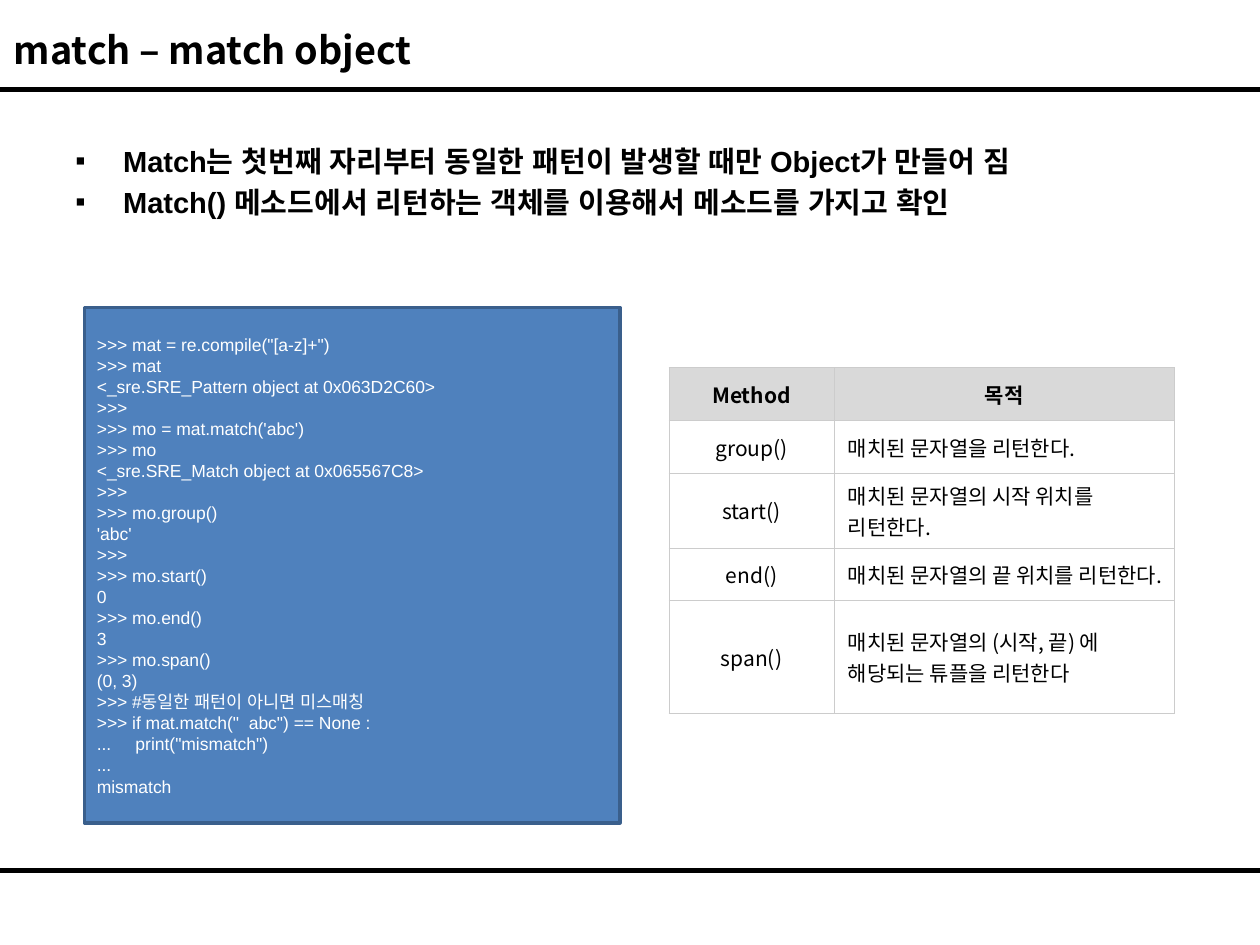
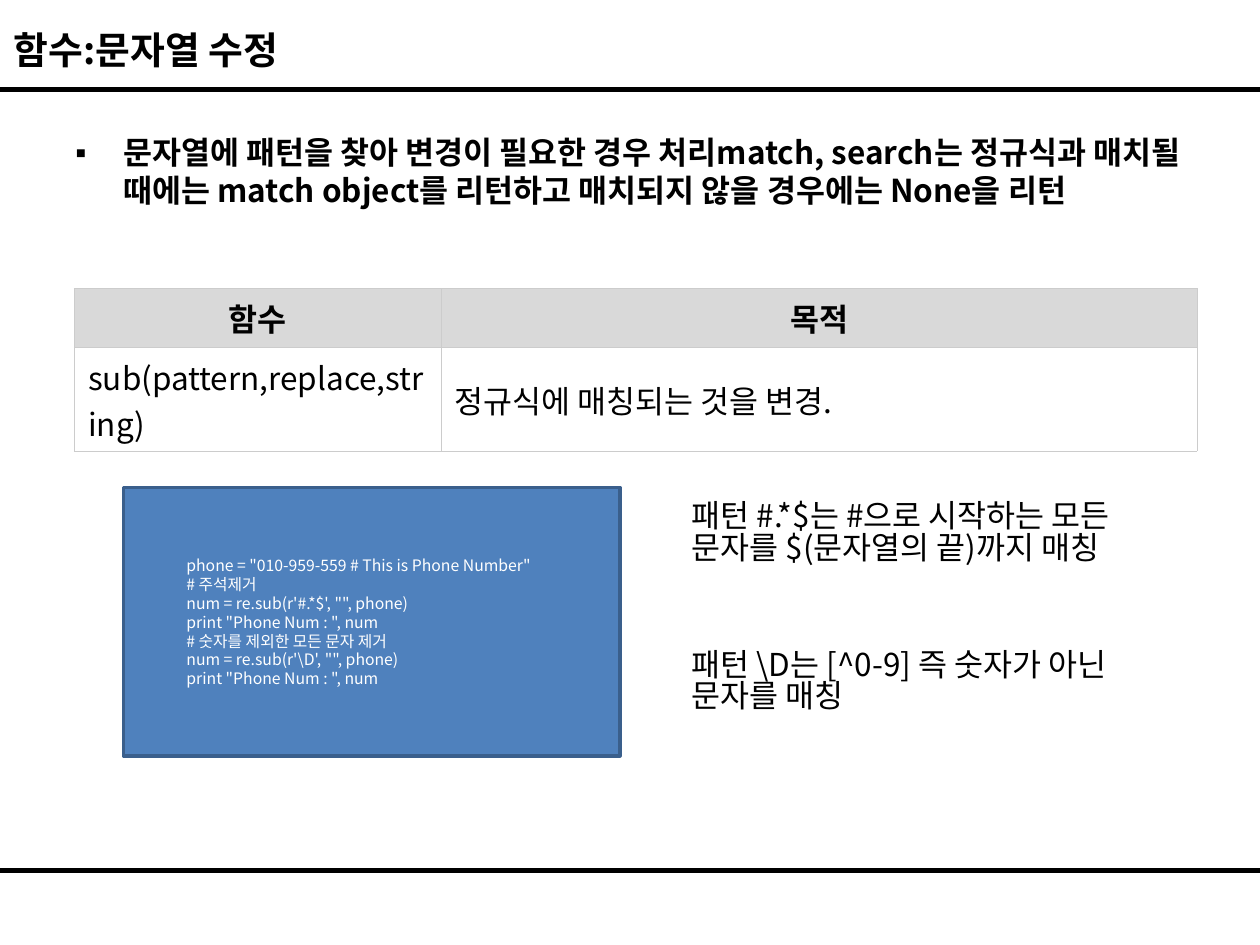
"""Build two slides on regular expression matching and substitution."""
from dataclasses import dataclass
from typing import Optional, Sequence

from lxml.etree import SubElement
from pptx import Presentation
from pptx.dml.color import RGBColor
from pptx.enum.shapes import MSO_CONNECTOR as CONN, MSO_SHAPE as SHAPE
from pptx.enum.text import MSO_ANCHOR as ANCHOR, MSO_AUTO_SIZE as AUTO, PP_ALIGN as ALIGN
from pptx.oxml.ns import qn
from pptx.util import Emu, Inches, Pt

COLS, ROWS = 100, 75
WIDTH, HEIGHT = Inches(10), Inches(7.5)
BLACK, WHITE, GREY, RULE = "000000", "FFFFFF", "D9D9D9", "CCCCCC"
BLUE, NAVY = "4F81BD", "3A5F8C"
ARIAL, NOTO = "Arial", "Noto Sans CJK KR"


@dataclass(frozen=True)
class Box:
    left: float
    top: float
    width: float
    height: float

    def emu(self) -> tuple:
        return col(self.left), row(self.top), col(self.width), row(self.height)


@dataclass(frozen=True)
class Style:
    size: float
    font: str = NOTO
    color: str = BLACK
    bold: bool = False
    spacing: Optional[float] = None
    before: float = 0
    indent: float = 0
    bullet: str = ""


@dataclass(frozen=True)
class Grid:
    left: float
    top: float
    widths: Sequence[float]
    heights: Sequence[float]
    size: float
    centred_cols: int
    rows: Sequence[Sequence[str]]


def col(n: float) -> Emu:
    return Emu(round(WIDTH * n / COLS))


def row(n: float) -> Emu:
    return Emu(round(HEIGHT * n / ROWS))


def rgb(value: str) -> RGBColor:
    return RGBColor.from_string(value)


def paint(fill, color: str) -> None:
    fill.solid()
    fill.fore_color.rgb = rgb(color)


def write(tf, lines: Sequence[str], style: Style, align=ALIGN.LEFT) -> None:
    for i, line in enumerate(lines):
        p = tf.paragraphs[0] if i == 0 else tf.add_paragraph()
        p.alignment = align
        if style.spacing:
            p.line_spacing = style.spacing
        if i and style.before:
            p.space_before = Pt(style.before)
        pPr = p._p.get_or_add_pPr()
        if style.indent:
            pPr.set("marL", str(col(style.indent)))
        if style.bullet:
            pPr.set("indent", str(-col(style.indent)))
            SubElement(pPr, qn("a:buFont"), typeface=ARIAL)
            SubElement(pPr, qn("a:buChar"), char=style.bullet)
        r = p.add_run()
        r.text = line
        r.font.name, r.font.size, r.font.bold = style.font, Pt(style.size), style.bold
        r.font.color.rgb = rgb(style.color)
        SubElement(r._r.get_or_add_rPr(), qn("a:ea"), typeface=style.font)


def add_rule(s, y: float) -> None:
    ln = s.shapes.add_connector(CONN.STRAIGHT, col(0), row(y), col(COLS), row(y))
    ln.line.color.rgb = rgb(BLACK)
    ln.line.width = Pt(2.75)
    SubElement(ln._element.spPr, qn("a:effectLst"))


def add_page(prs, title: str):
    s = prs.slides.add_slide(prs.slide_layouts[5])
    for y in (7.1, 69.1):
        add_rule(s, y)
    sp = s.shapes.title
    sp.left, sp.top, sp.width, sp.height = Box(0.1, 1.6, 98.8, 4.6).emu()
    tf = sp.text_frame
    tf.auto_size, tf.vertical_anchor = AUTO.NONE, ANCHOR.MIDDLE
    write(tf, [title], Style(21.6, bold=True))
    return s


def add_text(s, box: Box, lines: Sequence[str], style: Style) -> None:
    tf = s.shapes.add_textbox(*box.emu()).text_frame
    tf.word_wrap = True
    write(tf, lines, style)


def add_code(s, box: Box, code: str, style: Style, inset: float) -> None:
    sp = s.shapes.add_shape(SHAPE.RECTANGLE, *box.emu())
    sp.shadow.inherit = False
    paint(sp.fill, BLUE)
    sp.line.color.rgb = rgb(NAVY)
    sp.line.width = Pt(2)
    tf = sp.text_frame
    tf.word_wrap, tf.vertical_anchor = True, ANCHOR.MIDDLE
    tf.margin_left = col(inset)
    write(tf, code.splitlines(), style)


def border(cell) -> None:
    tcPr = cell._tc.get_or_add_tcPr()
    for i, side in enumerate(("lnL", "lnR", "lnT", "lnB")):
        ln = tcPr.makeelement(qn(f"a:{side}"), {"w": str(Pt(0.6))})
        SubElement(SubElement(ln, qn("a:solidFill")), qn("a:srgbClr"), val=RULE)
        tcPr.insert(i, ln)


def add_grid(s, g: Grid) -> None:
    box = Box(g.left, g.top, sum(g.widths), sum(g.heights))
    table = s.shapes.add_table(len(g.heights), len(g.widths), *box.emu()).table
    for column, width in zip(table.columns, g.widths):
        column.width = col(width)
    for i, (line, height, texts) in enumerate(zip(table.rows, g.heights, g.rows)):
        line.height = row(height)
        for j, (cell, text) in enumerate(zip(line.cells, texts)):
            header = i == 0
            paint(cell.fill, GREY if header else WHITE)
            border(cell)
            cell.vertical_anchor = ANCHOR.MIDDLE
            cell.margin_left = cell.margin_right = col(1.1)
            cell.margin_top = cell.margin_bottom = row(0.5)
            centred = header or j < g.centred_cols
            write(cell.text_frame, [text], Style(g.size, bold=header),
                  ALIGN.CENTER if centred else ALIGN.LEFT)


MATCH_CODE = """\
>>> mat = re.compile("[a-z]+")
>>> mat
<_sre.SRE_Pattern object at 0x063D2C60>
>>>
>>> mo = mat.match('abc')
>>> mo
<_sre.SRE_Match object at 0x065567C8>
>>>
>>> mo.group()
'abc'
>>>
>>> mo.start()
0
>>> mo.end()
3
>>> mo.span()
(0, 3)
>>> #동일한 패턴이 아니면 미스매칭
>>> if mat.match("  abc") == None :
...     print("mismatch")
...
mismatch"""

SUB_CODE = r"""phone = "010-959-559 # This is Phone Number"
# 주석제거
num = re.sub(r'#.*$', "", phone)
print "Phone Num : ", num
# 숫자를 제외한 모든 문자 제거
num = re.sub(r'\D', "", phone)
print "Phone Num : ", num"""

METHODS = Grid(53.1, 29.2, (13.1, 27), (4.2, 4.2, 5.9, 4.2, 8.9), 12, 1, (
    ("Method", "목적"),
    ("group()", "매치된 문자열을 리턴한다."),
    ("start()", "매치된 문자열의 시작 위치를 리턴한다."),
    ("end()", "매치된 문자열의 끝 위치를 리턴한다."),
    ("span()", "매치된 문자열의 (시작, 끝) 에 해당되는 튜플을 리턴한다"),
))

FUNCTIONS = Grid(5.9, 22.9, (29.1, 60), (4.7, 8.2), 18, 0, (
    ("함수", "목적"),
    ("sub(pattern,replace,string)", "정규식에 매칭되는 것을 변경."),
))


def match_slide(prs) -> None:
    s = add_page(prs, "match – match object")
    add_text(s, Box(5, 10.9, 90, 7.4), (
        "Match는 첫번째 자리부터 동일한 패턴이 발생할 때만 Object가 만들어 짐",
        "Match() 메소드에서 리턴하는 객체를 이용해서 메소드를 가지고 확인",
    ), Style(16.6, ARIAL, bold=True, before=3.3, indent=3.8, bullet="▪"))
    add_grid(s, METHODS)
    add_code(s, Box(6.7, 24.4, 42.5, 40.9), MATCH_CODE, Style(10, ARIAL, WHITE), 1)


def substitution_slide(prs) -> None:
    s = add_page(prs, "함수:문자열 수정")
    add_text(s, Box(5, 10.1, 90, 14.5), (
        "문자열에 패턴을 찾아 변경이 필요한 경우 처리match, search는 정규식과 매치될 때에는 "
        "match object를 리턴하고 매치되지 않을 경우에는 None을 리턴",
    ), Style(18, bold=True, indent=3.8, bullet="▪"))
    add_grid(s, FUNCTIONS)
    add_code(s, Box(9.8, 38.7, 39.4, 21.3), SUB_CODE, Style(9, color=WHITE, indent=5), 0)
    note = Style(18, spacing=0.83)
    for top, height, text in (
        (39.4, 10.1, "패턴 #.*$는 #으로 시작하는 모든 문자를 $(문자열의 끝)까지 매칭"),
        (51.2, 7.1, r"패턴 \D는 [^0-9] 즉 숫자가 아닌 문자를 매칭"),
    ):
        add_text(s, Box(53.9, top, 36.2, height), [text], note)


def main() -> None:
    prs = Presentation()
    prs.slide_width, prs.slide_height = WIDTH, HEIGHT
    match_slide(prs)
    substitution_slide(prs)
    prs.save("out.pptx")


if __name__ == "__main__":
    main()
